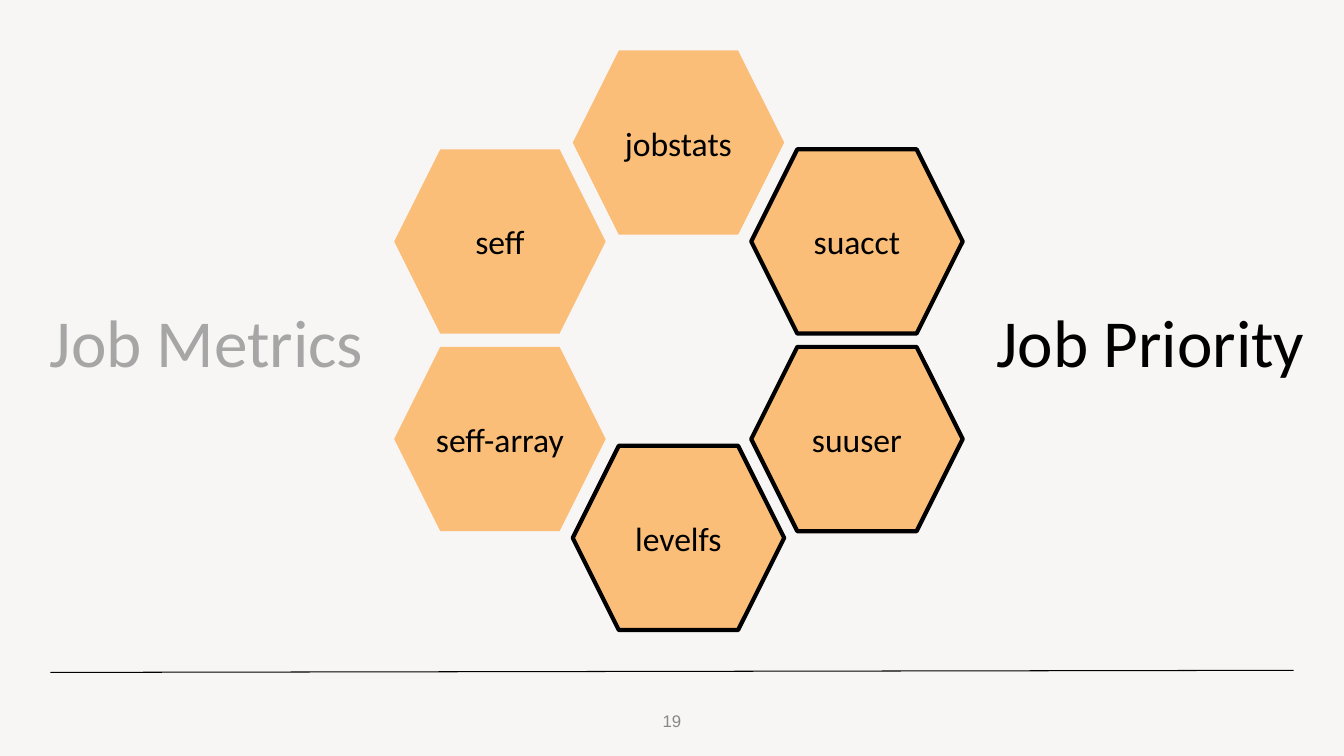
from collections import namedtuple

from lxml import etree
from pptx import Presentation
from pptx import util as u
from pptx.dml.color import RGBColor
from pptx.enum import shapes, text
from pptx.oxml.ns import qn

COLORS = {
    "background": "F8F6F5",
    "hexagon": "FABE79",
    "ink": "000000",
    "muted": "A6A6A6",
    "number": "888888",
}
W, H = u.Inches(13.333), u.Inches(7.5)
Box = namedtuple("Box", "x y w h")

COMMANDS = [
    ("levelfs", 1, 1, True),
    ("jobstats", 1, 0, False),
    ("suuser", 2, 0.75, True),
    ("seff", 0, 0.25, False),
    ("seff-array", 0, 0.75, False),
    ("suacct", 2, 0.25, True),
]


def rgb(name):
    return RGBColor.from_string(COLORS[name])


def share(x, y, w, h):
    return Box(*(int(v * side / 100) for v, side in zip((x, y, w, h), (W, H, W, H))))


def add_label(slide, box, words, size, color, font="Calibri", wrap=True):
    tf = slide.shapes.add_textbox(*box).text_frame
    tf.word_wrap = wrap
    tf.vertical_anchor = text.MSO_ANCHOR.MIDDLE
    p = tf.paragraphs[0]
    p.alignment = text.PP_ALIGN.CENTER
    r = p.add_run()
    r.text = words
    r.font.size = u.Pt(size)
    r.font.name = font
    r.font.color.rgb = rgb(color)


def add_command(slide, box, name, outlined):
    sp = slide.shapes.add_shape(shapes.MSO_SHAPE.HEXAGON, *box)
    sp.shadow.inherit = False
    sp.fill.solid()
    sp.fill.fore_color.rgb = rgb("hexagon")
    if outlined:
        sp.line.color.rgb = rgb("ink")
        sp.line.width = u.Pt(3)
    else:
        sp.line.fill.background()
    w, h = int(box.w * 0.84), int(box.h * 0.27)
    label = Box(box.x + (box.w - w) // 2, box.y + (box.h - h) // 2, w, h)
    add_label(slide, label, name, 24, "ink")


def add_ring(slide, box):
    w, h = int(box.w * 0.372), int(box.h * 0.318)
    for name, col, row, outlined in COMMANDS:
        x = box.x + (box.w - w) * col // 2
        y = box.y + int((box.h - h) * row)
        add_command(slide, Box(x, y, w, h), name, outlined)


def add_footer(slide, box):
    rise = int(box.h * 0.03)
    line = slide.shapes.add_connector(
        shapes.MSO_CONNECTOR.STRAIGHT, box.x, box.y + rise, box.x + box.w, box.y)
    line.line.color.rgb = rgb("ink")
    line.line.width = u.Pt(0.75)
    etree.SubElement(line._element.spPr, qn("a:effectLst"))
    w, h = int(box.w * 0.06), int(box.h * 0.57)
    number = Box(box.x + (box.w - w) // 2, box.y + box.h - h, w, h)
    add_label(slide, number, "19", 12, "number", "Arial")


def main():
    prs = Presentation()
    prs.slide_width, prs.slide_height = W, H
    slide = prs.slides.add_slide(prs.slide_layouts[6])
    slide.background.fill.solid()
    slide.background.fill.fore_color.rgb = rgb("background")

    add_footer(slide, share(3.75, 88.67, 92.5, 9.33))
    add_ring(slide, share(29.33, 6.67, 42.3, 76.67))
    add_label(slide, share(1.65, 38.93, 27.45, 12.13), "Job Metrics", 48, "muted", wrap=False)
    add_label(slide, share(71.93, 38.93, 27.38, 12.13), "Job Priority", 48, "ink", wrap=False)
    prs.save("out.pptx")


if __name__ == "__main__":
    main()
